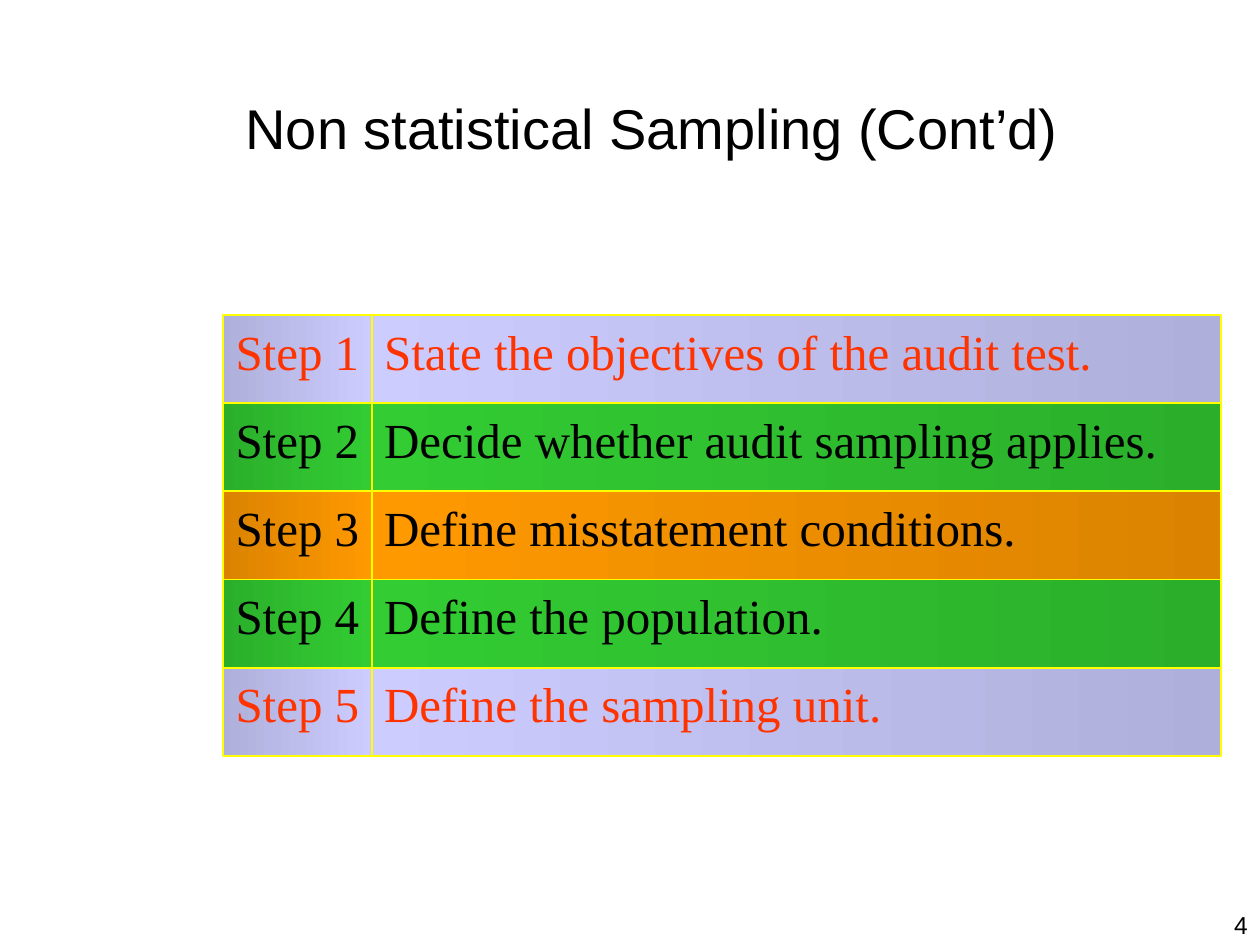
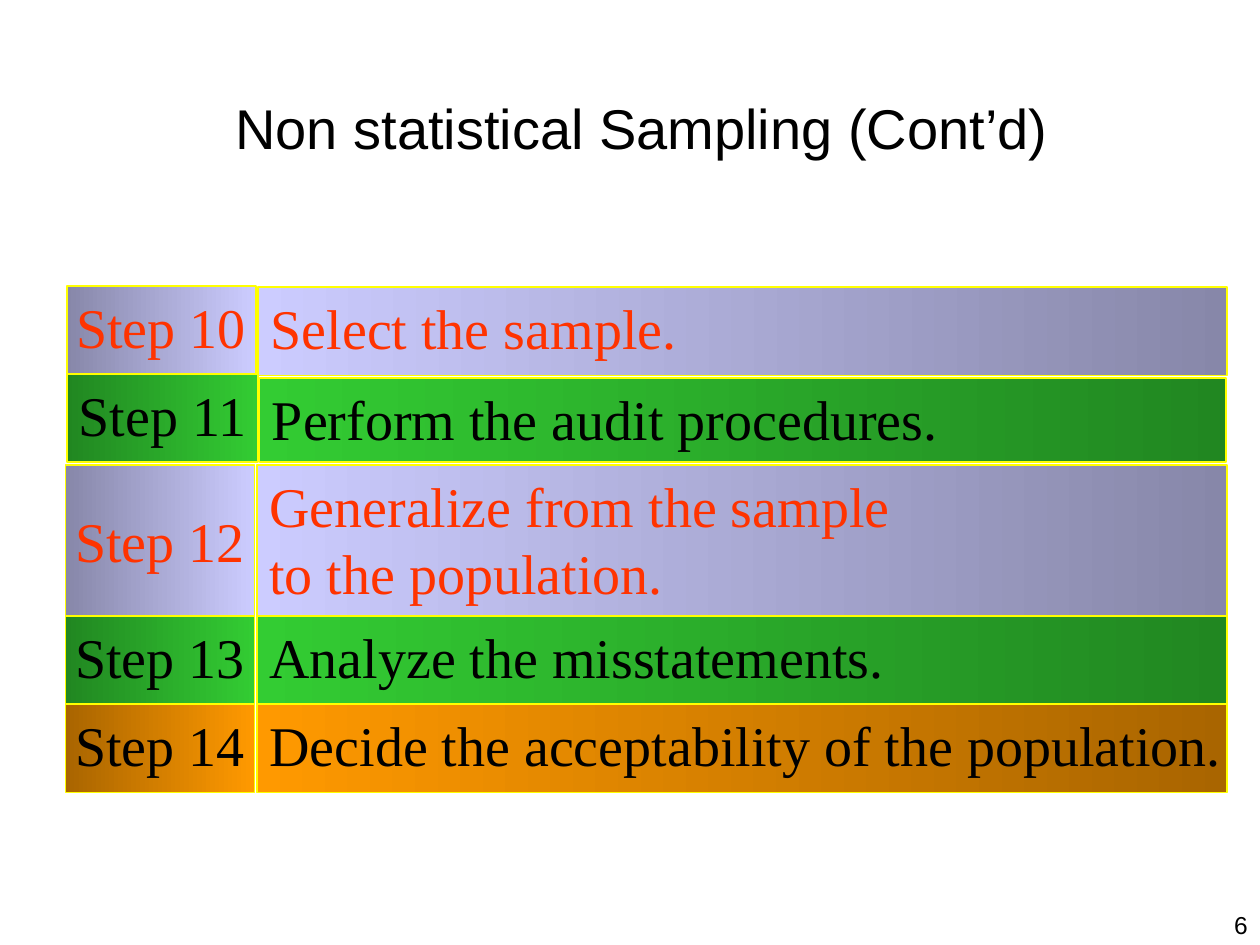
from dataclasses import dataclass

from pptx import Presentation
from pptx.dml.color import RGBColor
from pptx.enum.shapes import MSO_SHAPE
from pptx.enum.text import MSO_ANCHOR, PP_ALIGN
from pptx.util import Pt

RECT = MSO_SHAPE.RECTANGLE
TOP, MIDDLE = MSO_ANCHOR.TOP, MSO_ANCHOR.MIDDLE
LEFT, CENTER, RIGHT = PP_ALIGN.LEFT, PP_ALIGN.CENTER, PP_ALIGN.RIGHT
PX = 9144  # 100 px to the inch
BLANK = 6


@dataclass(frozen=True)
class Tone:
    light: str
    mild: str
    deep: str
    text: str


@dataclass(frozen=True)
class Theme:
    lilac: Tone = Tone("CCCCFF", "AFAFDB", "8787A9", "FF3300")
    green: Tone = Tone("33CC33", "2BAF2B", "218721", "000000")
    orange: Tone = Tone("FF9900", "DB8300", "A96500", "000000")
    border: str = "FFFF00"
    ink: str = "000000"
    heading_font: str = "Arial"
    step_font: str = "Times New Roman"
    title_size: int = 32
    number_size: int = 14
    planning_size: int = 28
    evaluation_size: int = 32


THEME = Theme()


class Deck:
    def __init__(self, theme):
        self.theme = theme
        self.prs = Presentation()
        self.prs.slide_width = 1000 * PX
        self.prs.slide_height = 750 * PX
        self.slide = None

    def new_slide(self, title, title_box, number):
        t = self.theme
        self.slide = self.prs.slides.add_slide(self.prs.slide_layouts[BLANK])
        self.text_box(title_box, title, t.title_size, LEFT, MIDDLE)
        self.text_box((792, 717, 208, 33), number, t.number_size, RIGHT, TOP)

    def text_box(self, box, text, size, align, anchor):
        s = self.slide.shapes.add_textbox(*(v * PX for v in box))
        self.set_text(s, text, self.theme.heading_font, size, self.theme.ink,
                      align, anchor, wrap=True)

    def cell(self, box, text, size, tone, dark, align, anchor=TOP):
        """Bordered rectangle whose gradient is bright where label and text meet."""
        s = self.slide.shapes.add_shape(RECT, *(v * PX for v in box))
        s.shadow.inherit = False
        s.fill.gradient()
        s.fill.gradient_angle = 180
        colours = (tone.light, dark) if align == CENTER else (dark, tone.light)
        for stop, colour, position in zip(s.fill.gradient_stops, colours, (0, 1)):
            stop.color.rgb = RGBColor.from_string(colour)
            stop.position = position
        s.line.color.rgb = RGBColor.from_string(self.theme.border)
        s.line.width = Pt(1)
        self.set_text(s, text, self.theme.step_font, size, tone.text,
                      align, anchor, wrap=False)

    def step(self, label, text, tone, dark, size, label_box, text_box, anchor=TOP):
        self.cell(text_box, text, size, tone, dark, LEFT)
        self.cell(label_box, label, size, tone, dark, CENTER, anchor)

    def set_text(self, s, text, font, size, colour, align, anchor, wrap):
        tf = s.text_frame
        tf.text = text
        tf.word_wrap = wrap
        tf.vertical_anchor = anchor
        for p in tf.paragraphs:
            p.alignment = align
            for r in p.runs:
                r.font.name = font
                r.font.size = Pt(size)
                r.font.color.rgb = RGBColor.from_string(colour)


TITLE = "Non statistical Sampling (Cont’d)"
ROW = 70

PLANNING_STEPS = [
    ("State the objectives of the audit test.", THEME.lilac),
    ("Decide whether audit sampling applies.", THEME.green),
    ("Define misstatement conditions.", THEME.orange),
    ("Define the population.", THEME.green),
    ("Define the sampling unit.", THEME.lilac),
]

SAMPLE_STEPS = [
    ("Step 10", "Select the sample.", THEME.lilac,
     (53, 227, 150, ROW), (205, 228, 769, ROW)),
    ("Step 11", "Perform the audit procedures.", THEME.green,
     (53, 297, 152, ROW), (206, 300, 767, 67)),
]

EVALUATION_STEPS = [
    ("Step 12", "Generalize from the sample\nto the population.", THEME.lilac, 120, MIDDLE),
    ("Step 13", "Analyze the misstatements.", THEME.green, ROW, TOP),
    ("Step 14", "Decide the acceptability of the population.", THEME.orange, ROW, TOP),
]


def planning_slide(deck):
    deck.new_slide(TITLE, (185, 22, 787, 157), "4")
    for i, (text, tone) in enumerate(PLANNING_STEPS):
        top = 250 + i * ROW
        deck.step(f"Step {i + 1}", text, tone, tone.mild, THEME.planning_size,
                  (177, top, 118, ROW), (295, top, 674, ROW))


def evaluation_slide(deck):
    size = THEME.evaluation_size
    deck.new_slide(TITLE, (177, 22, 803, 157), "6")
    for label, text, tone, label_box, text_box in SAMPLE_STEPS:
        deck.step(label, text, tone, tone.deep, size, label_box, text_box)
    top = 369
    for label, text, tone, height, anchor in EVALUATION_STEPS:
        deck.step(label, text, tone, tone.deep, size,
                  (52, top, 150, height), (204, top, 770, height), anchor)
        top += height


def main():
    deck = Deck(THEME)
    planning_slide(deck)
    evaluation_slide(deck)
    deck.prs.save("out.pptx")


if __name__ == "__main__":
    main()
